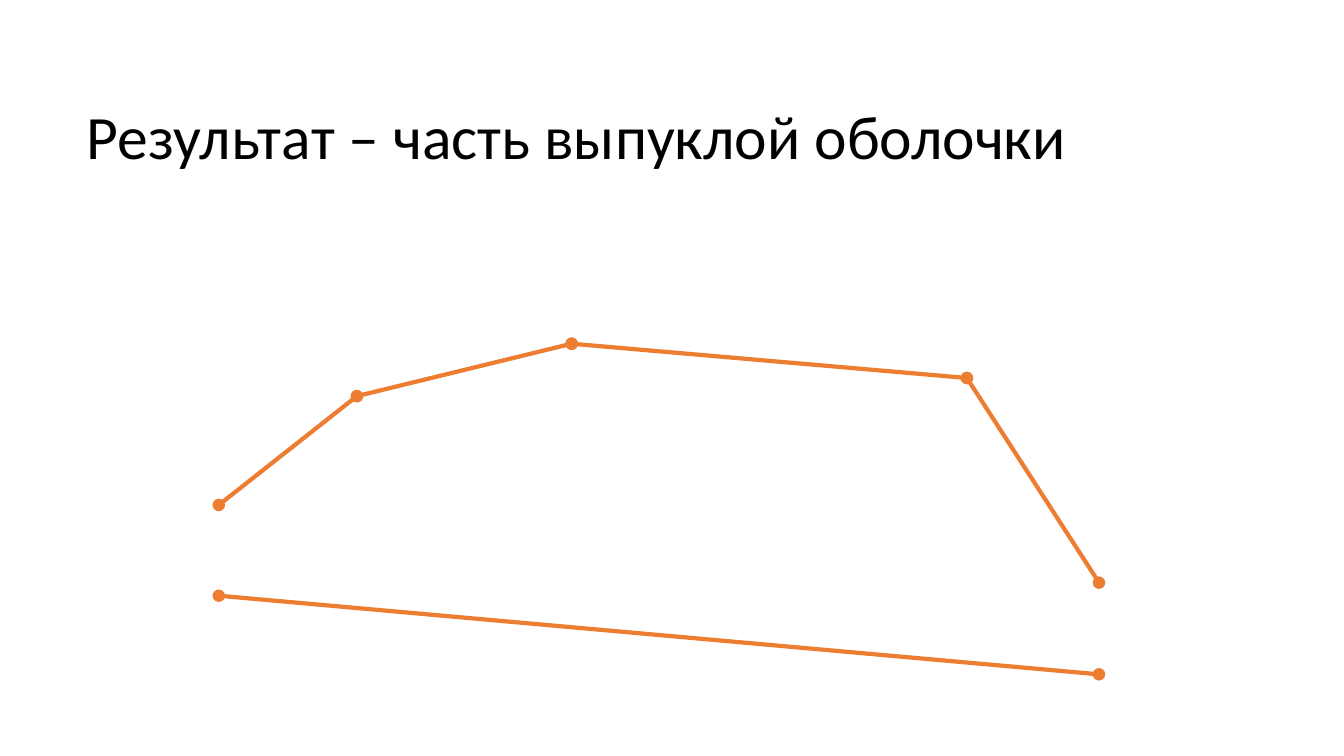
"""Build a slide that shows part of a convex hull."""
from itertools import pairwise

from lxml import etree
from pptx import Presentation
from pptx.dml.color import RGBColor
from pptx.enum.shapes import MSO_CONNECTOR
from pptx.enum.text import MSO_ANCHOR
from pptx.oxml.ns import qn
from pptx.util import Inches, Pt

STRAIGHT = MSO_CONNECTOR.STRAIGHT
MIDDLE = MSO_ANCHOR.MIDDLE

TITLE = "Результат – часть выпуклой оболочки"
FONT = "Calibri"
COLORS = {"text": "000000", "hull": "ED7D31"}
LEFT, RIGHT = 2.17, 10.9
CHAINS = {
    "upper": [(LEFT, 5.01), (3.54, 3.93), (5.67, 3.41), (9.59, 3.75), (RIGHT, 5.78)],
    "lower": [(LEFT, 5.91), (RIGHT, 6.69)],
}


def add_title(slide):
    box = slide.shapes.add_textbox(Inches(0.76), Inches(1), Inches(11.89), Inches(0.77))
    frame = box.text_frame
    frame.word_wrap = True
    frame.vertical_anchor = MIDDLE
    para = frame.paragraphs[0]
    para.line_spacing = 0.9
    run = para.add_run()
    run.text = TITLE
    run.font.name = FONT
    run.font.size = Pt(44)
    run.font.color.rgb = RGBColor.from_string(COLORS["text"])


def add_edge(slide, start, end):
    edge = slide.shapes.add_connector(STRAIGHT, *map(Inches, start + end))
    edge.line.color.rgb = RGBColor.from_string(COLORS["hull"])
    edge.line.width = Pt(3)
    props = edge.element.spPr
    line = props.find(qn("a:ln"))
    for tag in ("a:headEnd", "a:tailEnd"):
        etree.SubElement(line, qn(tag), type="oval")
    etree.SubElement(props, qn("a:effectLst"))


def main():
    deck = Presentation()
    deck.slide_width, deck.slide_height = Inches(13.33), Inches(7.5)
    slide = deck.slides.add_slide(deck.slide_layouts[6])
    add_title(slide)
    for chain in CHAINS.values():
        for start, end in pairwise(chain):
            add_edge(slide, start, end)
    deck.save("out.pptx")


if __name__ == "__main__":
    main()
